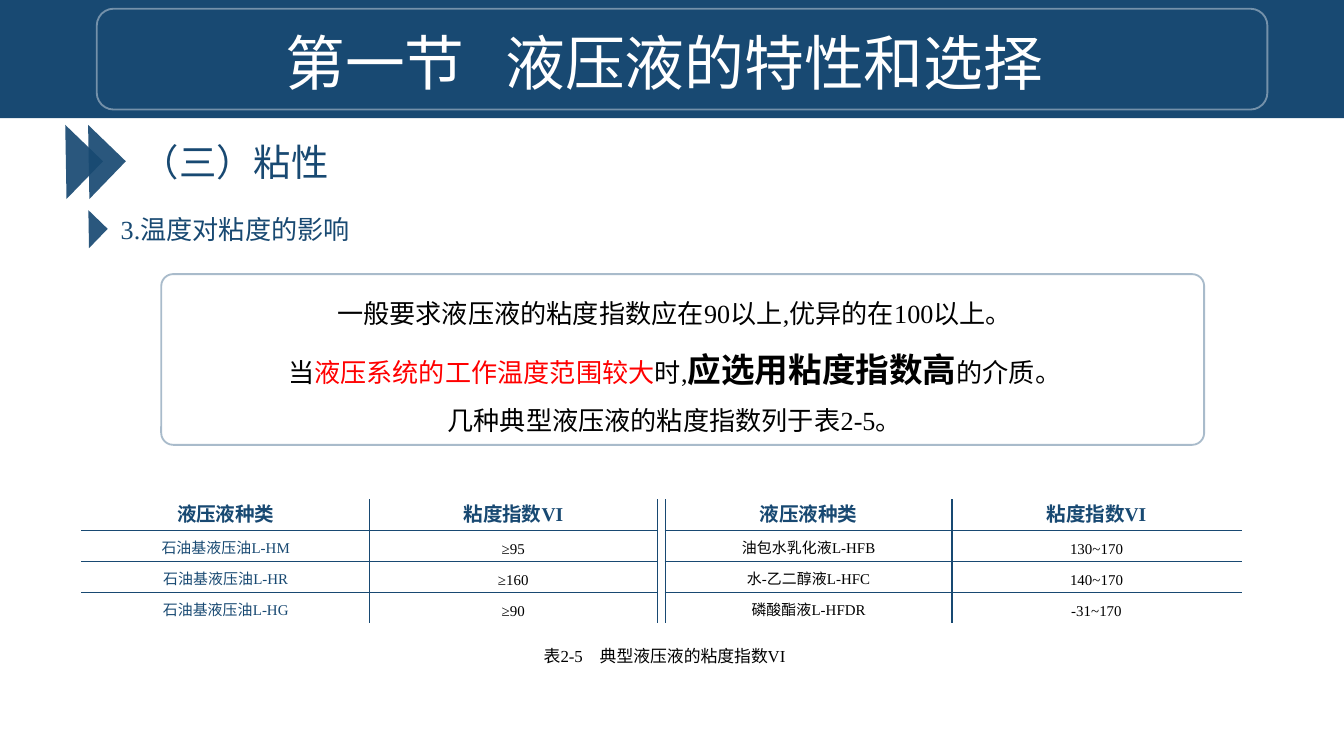
from lxml import etree
from pptx import Presentation, util as u
from pptx.dml.color import RGBColor
from pptx.enum import shapes, text
from pptx.oxml.ns import qn

HUE = {"navy": "184972", "white": "FFFFFF", "black": "000000", "red": "FF0000"}
FACE = "Times New Roman"
COLS, ROWS = 100, 56.25
UNIT = u.Inches(0.1)
KIND = shapes.MSO_SHAPE


def grid(box, x, y, w, h):
    """Turn grid cells counted from a box corner into slide lengths."""
    return [round(n * UNIT) for n in (box[0] + x, box[1] + y, w, h)]


def fade(fill, share):
    """Set the opacity of a solid fill element, in percent."""
    tone = fill.find(".//" + qn("a:srgbClr"))
    etree.SubElement(tone, qn("a:alpha")).set("val", str(share * 1000))


def shape(slide, kind, spot, fill=None, line=None, clear=100):
    """Draw a preset shape with either a fill or a thin outline."""
    item = slide.shapes.add_shape(kind, *spot)
    item.shadow.inherit = False
    if fill:
        item.fill.solid()
        item.fill.fore_color.rgb = RGBColor.from_string(HUE[fill])
        item.line.fill.background()
    else:
        item.fill.background()
        item.line.color.rgb = RGBColor.from_string(HUE[line])
        item.line.width = u.Pt(1)
    if clear < 100:
        fade(item.line._ln if line else item.fill._xPr, clear)
    return item


def style(run, size, hue="black", bold=False):
    """Format one run."""
    font = run.font
    font.name, font.size, font.bold = FACE, u.Pt(size), bold
    font.color.rgb = RGBColor.from_string(HUE[hue])


def write(slide, spot, paras, align=text.PP_ALIGN.CENTER, space=None):
    """Fill a text box with paragraphs given as lists of styled runs."""
    frame = slide.shapes.add_textbox(*spot).text_frame
    frame.word_wrap = True
    frame.auto_size = text.MSO_AUTO_SIZE.SHAPE_TO_FIT_TEXT
    for i, runs in enumerate(paras):
        para = frame.add_paragraph() if i else frame.paragraphs[0]
        para.alignment = align
        if space:
            para.line_spacing = space
        for words, *look in runs:
            run = para.add_run()
            run.text = words
            style(run, *look)
    return frame


def banner(slide, box):
    """Draw the title band with its outlined frame."""
    shape(slide, KIND.RECTANGLE, grid(box, 0, 0, COLS, 8.8), "navy")
    shape(slide, KIND.ROUNDED_RECTANGLE, grid(box, 7.2, 0.65, 87.1, 7.5),
          line="white", clear=40)
    words = [(part, 32, "white") for part in ("第一节", " ", "液压液的特性和选择")]
    frame = write(slide, grid(box, 7.7, 1.4, 83.5, 6.4), [words])
    gap = frame.paragraphs[0].runs[1]
    gap.font._element.set("spc", "1450")


def heading(slide, box, marks, side, label, spot, size, align):
    """Draw arrow marks followed by a heading."""
    for x in marks:
        mark = shape(slide, KIND.RIGHT_TRIANGLE,
                     grid(box, x, 0, side, side), "navy", clear=92)
        mark.rotation = 224
    write(slide, grid(box, *spot), [[(label, size, "navy")]], align)


def panel(slide, box):
    """Draw the framed statement."""
    paras = [
        [("一般要求液压液的粘度指数应在90以上,优异的在100以上。", 14)],
        [("当", 14), ("液压系统的工作温度范围较大", 14, "red"), ("时,", 14),
         ("应选用粘度指数高", 18, "black", True), ("的介质。", 14)],
        [("几种典型液压液的粘度指数列于表2-5。", 14)],
    ]
    write(slide, grid(box, 0, 0.05, 77.2, 12.6), paras, space=1.5)
    frame = shape(slide, KIND.ROUNDED_RECTANGLE, grid(box, 0.4, 0, 77.6, 12.7),
                  line="navy", clear=36)
    frame.adjustments[0] = 0.07


def border(cell, hues):
    """Draw the left, right, top and bottom borders of a cell."""
    props = cell._tc.get_or_add_tcPr()
    for i, (side, hue) in enumerate(zip("LRTB", hues)):
        line = etree.Element(qn("a:ln" + side), w=str(u.Pt(0.75)))
        fill = etree.SubElement(line, qn("a:solidFill"))
        etree.SubElement(fill, qn("a:srgbClr"), val=HUE[hue])
        props.insert(i, line)


def table(slide, box):
    """Draw the index table, split in two halves by a narrow column."""
    kinds, index = "液压液种类", "粘度指数VI"
    data = [
        (kinds, index, "", kinds, index),
        ("石油基液压油L-HM", "≥95", "", "油包水乳化液L-HFB", "130~170"),
        ("石油基液压油L-HR", "≥160", "", "水-乙二醇液L-HFC", "140~170"),
        ("石油基液压油L-HG", "≥90", "", "磷酸酯液L-HFDR", "-31~170"),
    ]
    widths = (21.4, 21.4, 0.6, 21.35, 21.5)
    last, end = len(data) - 1, len(widths) - 1
    spot = grid(box, 0, 0, sum(widths), 2.3 * len(data))
    grid_tab = slide.shapes.add_table(len(data), len(widths), *spot).table
    for col, width in zip(grid_tab.columns, widths):
        col.width = round(width * UNIT)
    for r, row in enumerate(data):
        for c, words in enumerate(row):
            cell = grid_tab.cell(r, c)
            cell.fill.background()
            cell.margin_left = cell.margin_right = 0
            cell.margin_top = cell.margin_bottom = 0
            cell.vertical_anchor = text.MSO_ANCHOR.MIDDLE
            para = cell.text_frame.paragraphs[0]
            para.text = words
            para.alignment = text.PP_ALIGN.CENTER
            para.line_spacing = u.Pt(12)
            for run in para.runs:
                hue = "navy" if r == 0 or c == 0 else "black"
                style(run, 8 if r else 10.5, hue, r == 0)
            if not words:
                etree.SubElement(para._p, qn("a:endParaRPr"), sz="800")
            edges = (c == 0, c == end, r == 0 or c == 2, r == last or c == 2)
            border(cell, ["white" if edge else "navy" for edge in edges])
    grid_tab.cell(0, 2).merge(grid_tab.cell(last, 2))


def caption(slide, box):
    """Write the table caption with an indented first line."""
    frame = write(slide, grid(box, 0, 0, 22.7, 2.8),
                  [[("表2-5　典型液压液的粘度指数VI", 9)]], space=u.Pt(13.5))
    props = frame.paragraphs[0]._p.get_or_add_pPr()
    props.set("marL", "0")
    props.set("indent", str(u.Inches(0.25)))


def main():
    """Build the slide and save it."""
    deck = Presentation()
    deck.slide_width, deck.slide_height = COLS * UNIT, round(ROWS * UNIT)
    slide = deck.slides.add_slide(deck.slide_layouts[6])
    banner(slide, (0, 0))
    heading(slide, (2.95, 10.1), (0, 1.7), 3.9, "（三）粘性",
            (6.4, -0.25, 16.3, 4.4), 20, text.PP_ALIGN.CENTER)
    heading(slide, (5.6, 16.05), (0,), 2, "3.温度对粘度的影响",
            (2.4, -0.65, 20.7, 3.4), 14, text.PP_ALIGN.LEFT)
    panel(slide, (11.6, 20.4))
    table(slide, (6.1, 37.2))
    caption(slide, (36.85, 47.2))
    deck.save("out.pptx")


if __name__ == "__main__":
    main()
